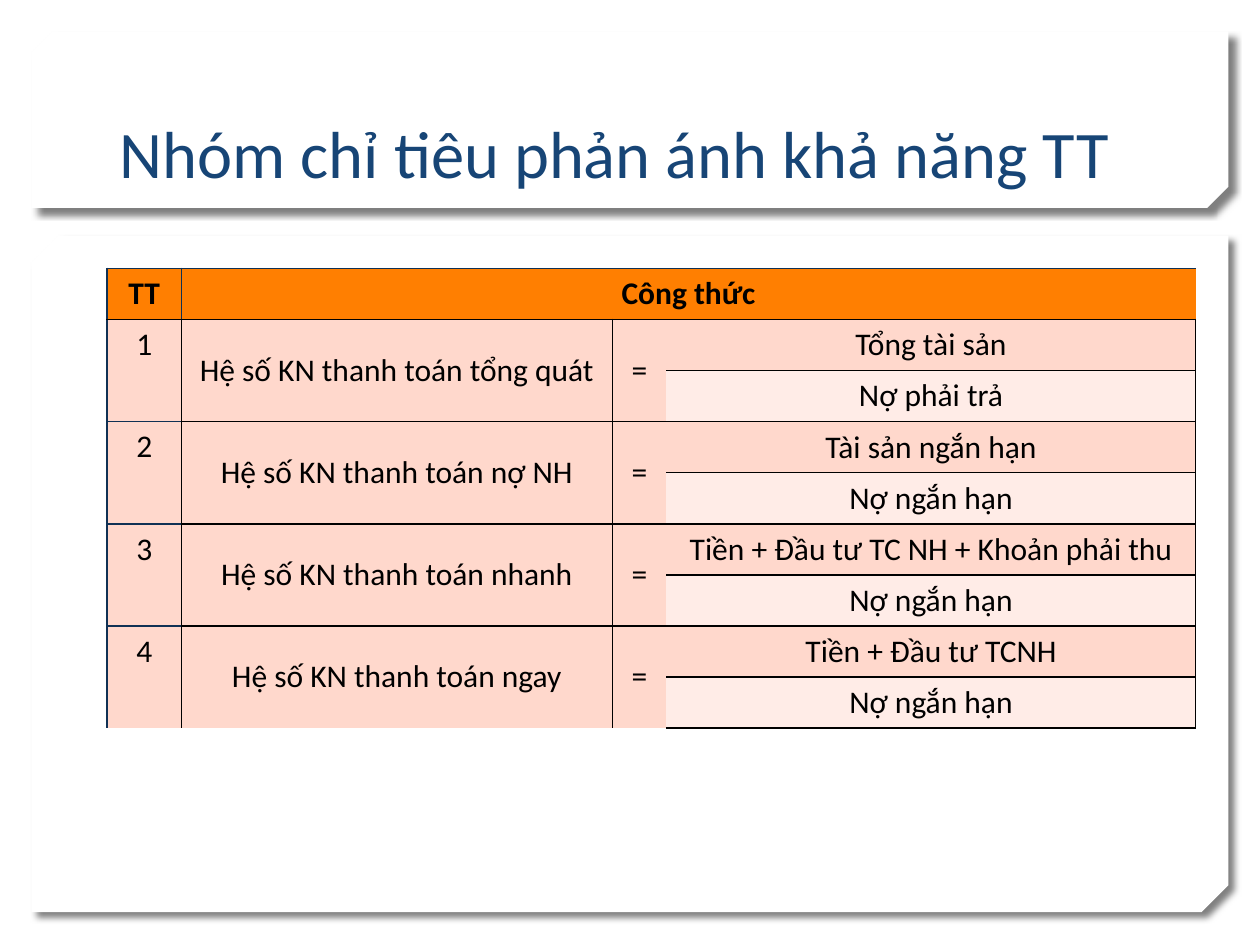
import pptx
import pptx.dml.color
import pptx.enum.shapes
import pptx.enum.text
import pptx.oxml
import pptx.oxml.ns
import pptx.util
from pptx.util import Inches

WHITE = pptx.dml.color.RGBColor(0xFF, 0xFF, 0xFF)
BLACK = pptx.dml.color.RGBColor(0x00, 0x00, 0x00)
BLUE = pptx.dml.color.RGBColor(0x17, 0x45, 0x76)
NAVY = pptx.dml.color.RGBColor(0x10, 0x31, 0x54)
ORANGE = pptx.dml.color.RGBColor(0xFF, 0x7F, 0x01)
PEACH = pptx.dml.color.RGBColor(0xFF, 0xD8, 0xCC)
PALE = pptx.dml.color.RGBColor(0xFF, 0xEC, 0xE7)

FONT = "Calibri"
PLAIN_TABLE = "{2D5ABB26-0587-4C30-8999-92F81FD0307C}"
COLUMNS = [0.59, 3.42, 0.43, 4.2]
TABLE_HEIGHT = 3.65
RATIOS = [
    ("Hệ số KN thanh toán tổng quát", "Tổng tài sản", "Nợ phải trả"),
    ("Hệ số KN thanh toán nợ NH", "Tài sản ngắn hạn", "Nợ ngắn hạn"),
    ("Hệ số KN thanh toán nhanh", "Tiền + Đầu tư TC NH + Khoản phải thu", "Nợ ngắn hạn"),
    ("Hệ số KN thanh toán ngay", "Tiền + Đầu tư TCNH", "Nợ ngắn hạn"),
]
MIDDLE = pptx.enum.text.MSO_ANCHOR.MIDDLE
TOP = pptx.enum.text.MSO_ANCHOR.TOP


def add_span(para, text, size, color, bold=False):
    span = para.add_run()
    span.text = text
    span.font.name = FONT
    span.font.size = pptx.util.Pt(size)
    span.font.bold = bold
    span.font.color.rgb = color


def add_panel(page, top, height, snip):
    panel = page.shapes.add_shape(
        pptx.enum.shapes.MSO_SHAPE.SNIP_2_DIAG_RECTANGLE,
        Inches(0.25), Inches(top), Inches(9.5), Inches(height))
    panel.adjustments[0] = 0
    panel.adjustments[1] = snip
    panel.fill.solid()
    panel.fill.fore_color.rgb = WHITE
    panel.line.fill.background()
    properties = panel.element.spPr
    properties.find(pptx.oxml.ns.qn("a:xfrm")).set("flipV", "1")
    properties.append(pptx.oxml.parse_xml(
        f'<a:effectLst {pptx.oxml.ns.nsdecls("a")}>'
        '<a:outerShdw blurRad="50800" dist="63500" dir="2700000" algn="tl" rotWithShape="0">'
        '<a:srgbClr val="000000"><a:alpha val="50000"/></a:srgbClr>'
        '</a:outerShdw></a:effectLst>'))
    page.shapes.title.element.addprevious(panel.element)


def fill_title(page, text):
    title = page.shapes.title
    title.left, title.top = Inches(0.85), Inches(0.32)
    title.width, title.height = Inches(8.29), Inches(1.25)
    frame = title.text_frame
    frame.auto_size = pptx.enum.text.MSO_AUTO_SIZE.NONE
    frame.vertical_anchor = pptx.enum.text.MSO_ANCHOR.BOTTOM
    para = frame.paragraphs[0]
    para.alignment = pptx.enum.text.PP_ALIGN.LEFT
    add_span(para, text, 38, BLUE)


def set_borders(cell, borders):
    properties = cell._tc.get_or_add_tcPr()
    for side in "LRTB":
        if side in borders:
            properties.append(pptx.oxml.parse_xml(
                f'<a:ln{side} {pptx.oxml.ns.nsdecls("a")} w="12700"><a:solidFill>'
                f'<a:srgbClr val="{borders[side]}"/></a:solidFill></a:ln{side}>'))


def fill_cell(table, row, column, text, fill, borders,
              rows=1, columns=1, bold=False, anchor=MIDDLE):
    last_row, last_column = row + rows - 1, column + columns - 1
    for r in range(row, last_row + 1):
        for c in range(column, last_column + 1):
            on_edge = {"L": c == column, "R": c == last_column,
                       "T": r == row, "B": r == last_row}
            part = table.cell(r, c)
            set_borders(part, {side: color for side, color in borders.items() if on_edge[side]})
            part.fill.solid()
            part.fill.fore_color.rgb = fill
    cell = table.cell(row, column)
    if rows * columns > 1:
        cell.merge(table.cell(last_row, last_column))
    cell.vertical_anchor = anchor
    para = cell.text_frame.paragraphs[0]
    para.alignment = pptx.enum.text.PP_ALIGN.CENTER
    add_span(para, text, 18, BLACK, bold)


def add_ratio_table(page):
    row_count = 1 + 2 * len(RATIOS)
    frame = page.shapes.add_table(
        row_count, len(COLUMNS), Inches(0.85), Inches(2.13),
        Inches(sum(COLUMNS)), Inches(TABLE_HEIGHT))
    table = frame.table
    table.first_row = table.horz_banding = False
    table._tbl.tblPr.find(pptx.oxml.ns.qn("a:tableStyleId")).text = PLAIN_TABLE
    for column, width in zip(table.columns, COLUMNS):
        column.width = Inches(width)
    for row in table.rows:
        row.height = Inches(TABLE_HEIGHT / row_count)

    header = {"L": NAVY, "R": NAVY, "T": NAVY, "B": BLACK}
    fill_cell(table, 0, 0, "TT", ORANGE, header, bold=True, anchor=TOP)
    fill_cell(table, 0, 1, "Công thức", ORANGE, header, columns=3, bold=True, anchor=TOP)

    level = {"T": BLACK, "B": BLACK}
    for number, (label, numerator, denominator) in enumerate(RATIOS, 1):
        row = 2 * number - 1
        number_borders = {"L": NAVY, "R": BLACK, "T": BLACK if number == 1 else NAVY, "B": NAVY}
        fill_cell(table, row, 0, str(number), PEACH, number_borders, rows=2, anchor=TOP)
        fill_cell(table, row, 1, label, PEACH, {"L": BLACK, **level}, rows=2)
        fill_cell(table, row, 2, "=", PEACH, level, rows=2)
        fill_cell(table, row, 3, numerator, PEACH, {"R": BLACK, **level})
        fill_cell(table, row + 1, 3, denominator, PALE, {"R": BLACK, **level})


def main():
    deck = pptx.Presentation()
    deck.slide_width, deck.slide_height = Inches(10), Inches(7.5)
    page = deck.slides.add_slide(deck.slide_layouts[5])
    add_panel(page, 1.87, 5.37, 0.04)
    add_panel(page, 0.25, 1.4, 0.12)
    fill_title(page, "Nhóm chỉ tiêu phản ánh khả năng TT")
    add_ratio_table(page)
    deck.save("out.pptx")


if __name__ == "__main__":
    main()
